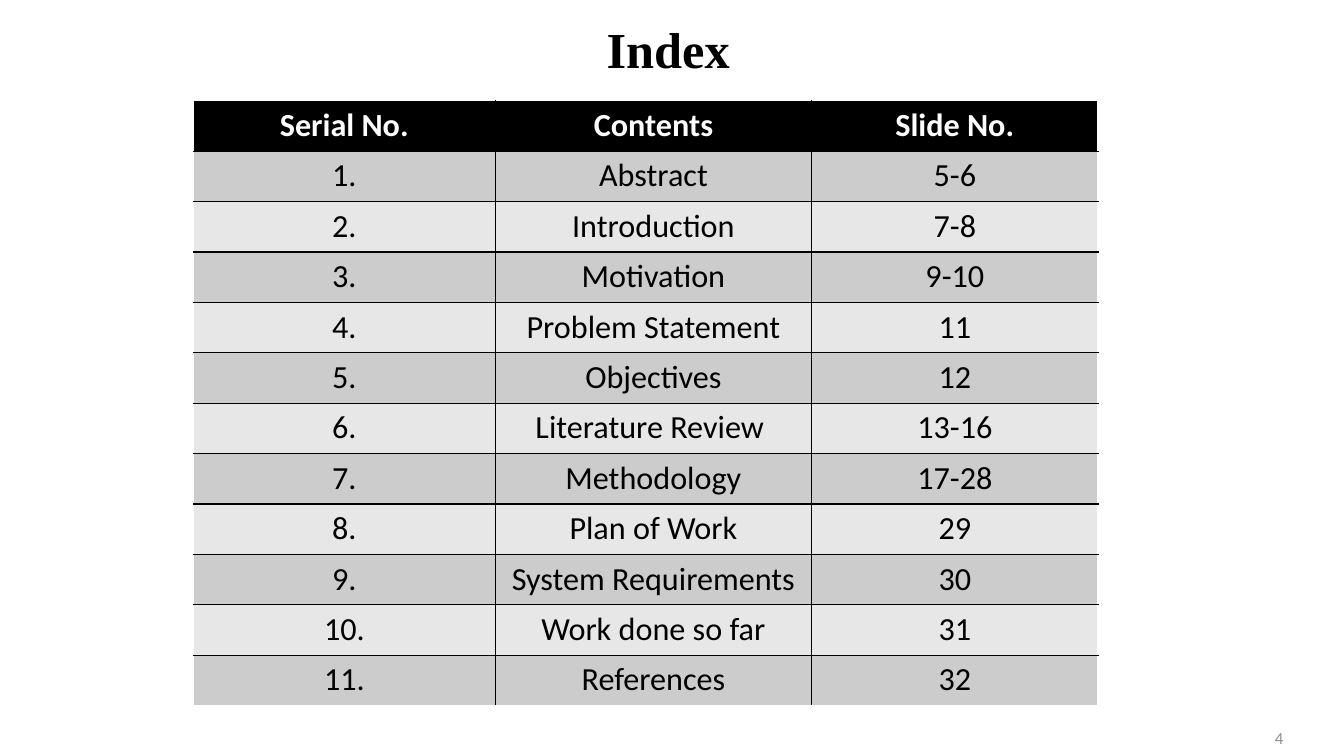
from lxml import etree
from pptx import Presentation
from pptx import util as u
from pptx.dml import color
from pptx.enum import text
from pptx.oxml import ns

ROWS = [
    ("Serial No.", "Contents", "Slide No."),
    ("1.", "Abstract", "5-6"),
    ("2.", "Introduction", "7-8"),
    ("3.", "Motivation", "9-10"),
    ("4.", "Problem Statement", "11"),
    ("5.", "Objectives", "12"),
    ("6.", "Literature Review ", "13-16"),
    ("7.", "Methodology", "17-28"),
    ("8.", "Plan of Work", "29"),
    ("9.", "System Requirements", "30"),
    ("10.", "Work done so far", "31"),
    ("11.", "References", "32"),
]
WIDTHS = [7.6, 7.98, 7.21]
HEIGHT = 1.27


def rgb(code):
    """Turn a hex string into a colour."""
    return color.RGBColor.from_string(code)


def write(frame, words, size=23, font="Calibri", ink="000000", bold=False,
          align=text.PP_ALIGN.CENTER):
    """Put one formatted paragraph into a text frame."""
    frame.word_wrap = True
    para = frame.paragraphs[0]
    para.alignment = align
    run = para.add_run()
    run.text = words
    run.font.size = u.Pt(size)
    run.font.name = font
    run.font.bold = bold
    run.font.color.rgb = rgb(ink)


def edge(cell, side, ink):
    """Draw a one-point border on one side of a cell."""
    props = cell._tc.get_or_add_tcPr()
    line = etree.SubElement(props, ns.qn("a:ln" + side), w=str(u.Pt(1)))
    fill = etree.SubElement(line, ns.qn("a:solidFill"))
    etree.SubElement(fill, ns.qn("a:srgbClr"), val=ink)


def paint(cell, fill, outer):
    """Border a cell, white on the outer sides, and fill it."""
    for side in "LRTB":
        edge(cell, side, "FFFFFF" if side in outer else "000000")
    cell.fill.solid()
    cell.fill.fore_color.rgb = rgb(fill)


def title(slide, words):
    """Place and format the slide title."""
    head = slide.shapes.title
    head.left, head.top = u.Cm(0), u.Cm(0.3)
    head.width, head.height = u.Cm(33.68), u.Cm(1.85)
    head.text_frame.vertical_anchor = text.MSO_ANCHOR.MIDDLE
    write(head.text_frame, words, size=36, font="Times New Roman", bold=True)


def index(slide):
    """Add the banded table of contents."""
    last, end = len(ROWS) - 1, len(WIDTHS) - 1
    frame = slide.shapes.add_table(
        len(ROWS), len(WIDTHS), u.Cm(4.88), u.Cm(2.54),
        u.Cm(sum(WIDTHS)), u.Cm(HEIGHT * len(ROWS)))
    table = frame.table
    for col, width in zip(table.columns, WIDTHS):
        col.width = u.Cm(width)
    for r, row in enumerate(ROWS):
        table.rows[r].height = u.Cm(HEIGHT)
        fill = "000000" if r == 0 else ("E7E7E7", "CCCCCC")[r % 2]
        for c, words in enumerate(row):
            cell = table.cell(r, c)
            outer = (("L" if c == 0 else "") + ("R" if c == end else "")
                     + ("T" if r == 0 else "") + ("B" if r == last else ""))
            paint(cell, fill, outer)
            write(cell.text_frame, words, bold=r == 0,
                  ink="FFFFFF" if r == 0 else "000000")


def number(slide, words):
    """Add the slide number at the lower right."""
    box = slide.shapes.add_textbox(u.Cm(24.69), u.Cm(18.08), u.Cm(7.9), u.Cm(1.02))
    box.text_frame.vertical_anchor = text.MSO_ANCHOR.MIDDLE
    write(box.text_frame, words, size=12, ink="8C8C8C",
          align=text.PP_ALIGN.RIGHT)


def main():
    """Build and save the slide."""
    deck = Presentation()
    deck.slide_width, deck.slide_height = u.Cm(33.87), u.Cm(19.05)
    slide = deck.slides.add_slide(deck.slide_layouts[5])
    number(slide, "4")
    title(slide, "Index")
    index(slide)
    deck.save("out.pptx")


if __name__ == "__main__":
    main()
